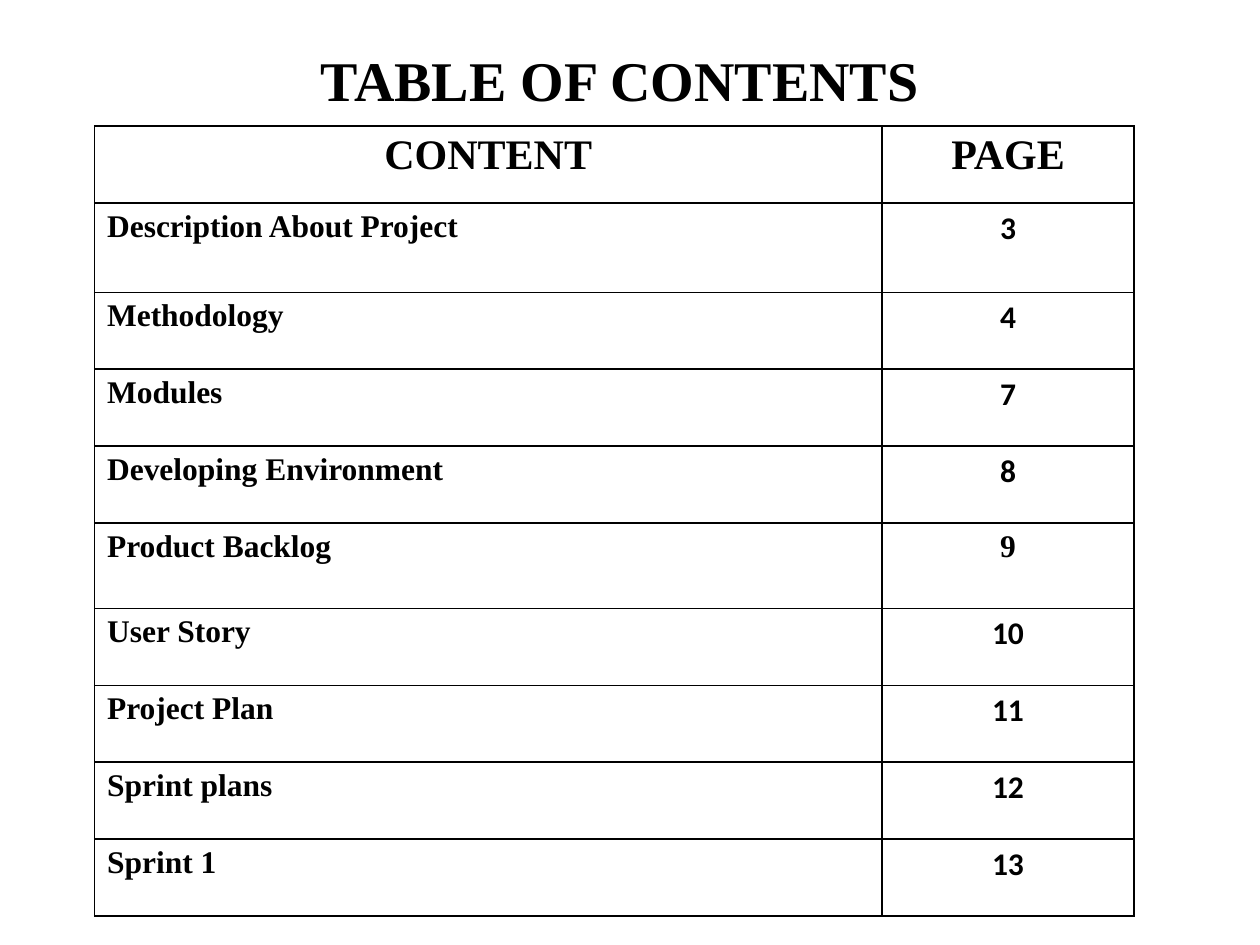
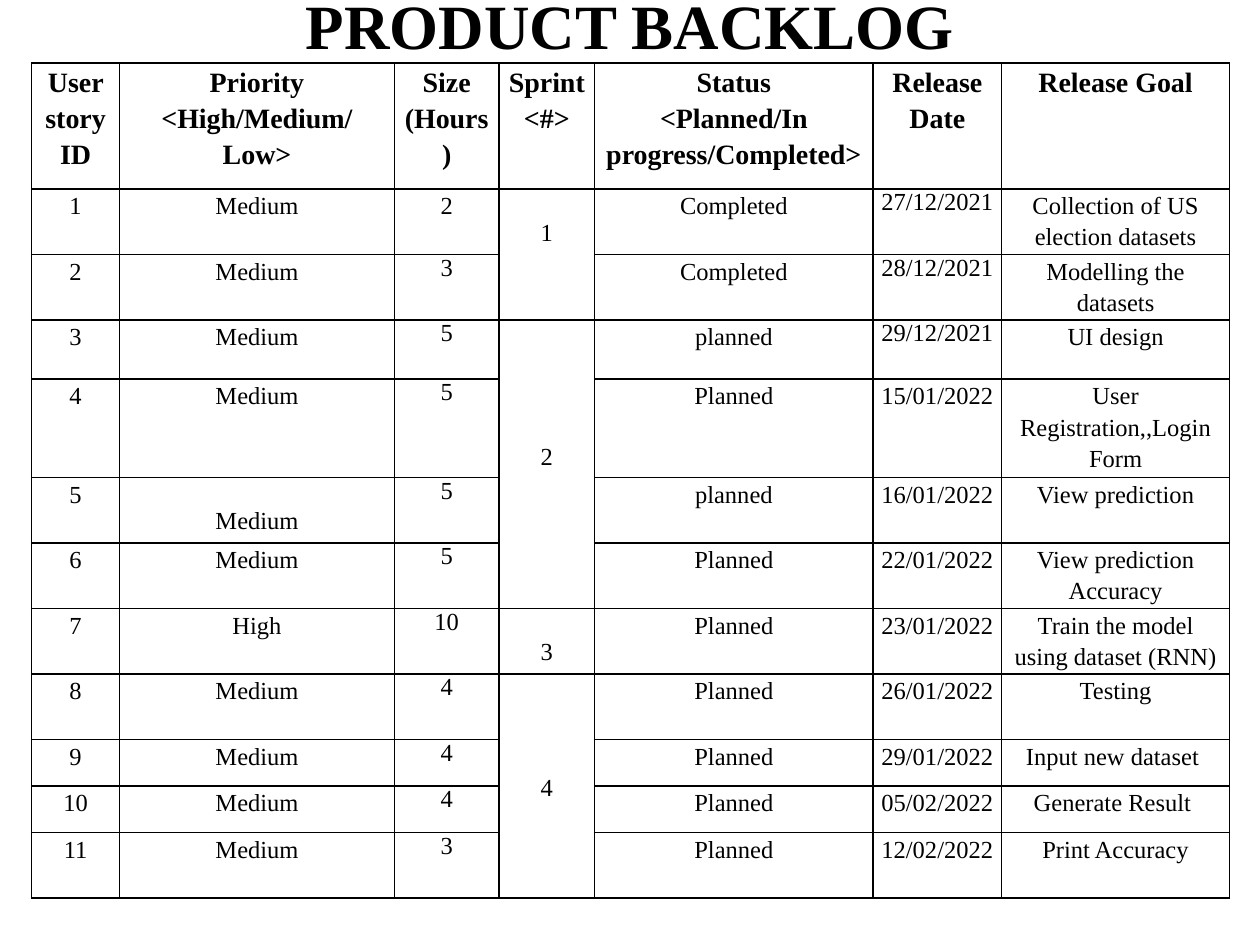
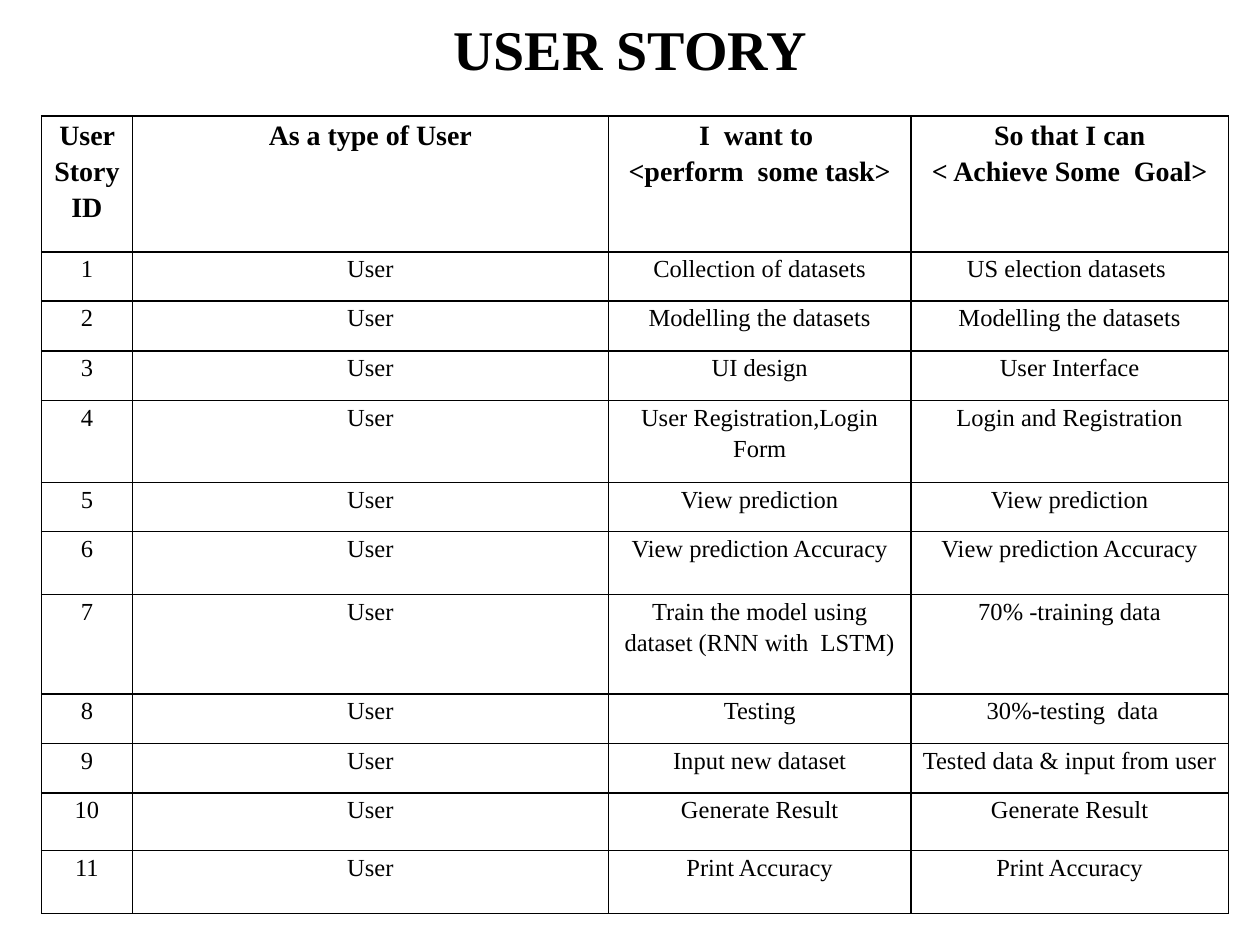
from lxml import etree
from pptx import Presentation
from pptx.dml.color import RGBColor
from pptx.enum.text import MSO_ANCHOR, PP_ALIGN
from pptx.oxml.ns import qn
from pptx.util import Inches, Pt

WIDE, HIGH = Inches(10), Inches(7.5)
BLACK = RGBColor(0, 0, 0)
WHITE = RGBColor(255, 255, 255)
SERIF, SANS = "Times New Roman", "Calibri"
LEFT, CENTER = PP_ALIGN.LEFT, PP_ALIGN.CENTER
TOP, MIDDLE = MSO_ANCHOR.TOP, MSO_ANCHOR.MIDDLE
LAYOUT = 5
LINE = 1
LOOSE = 1.15
DROP = 2.1

TOPICS = [
    ("CONTENT", "PAGE"),
    ("Description About Project", "3"),
    ("Methodology", "4"),
    ("Modules", "7"),
    ("Developing Environment", "8"),
    ("Product Backlog", "9"),
    ("User Story", "10"),
    ("Project Plan", "11"),
    ("Sprint plans", "12"),
    ("Sprint 1", "13"),
]
BACKLOG = [
    ("User story ID", "Priority\n<High/Medium/Low>", "Size\n(Hours)", "Sprint\n<#>",
     "Status\n<Planned/In progress/Completed>", "Release\nDate", "Release Goal"),
    ("1", "Medium", "2", "1", "Completed", "27/12/2021", "Collection of US election datasets"),
    ("2", "Medium", "3", "", "Completed", "28/12/2021", "Modelling the datasets"),
    ("3", "Medium", "5", "2", "planned", "29/12/2021", "UI design"),
    ("4", "Medium", "5", "", "Planned", "15/01/2022", "User Registration,,Login Form"),
    ("5", "Medium", "5", "", "planned", "16/01/2022", "View prediction"),
    ("6", "Medium", "5", "", "Planned", "22/01/2022", "View prediction Accuracy"),
    ("7", "High", "10", "3", "Planned", "23/01/2022", "Train the model using dataset (RNN)"),
    ("8", "Medium", "4", "4", "Planned", "26/01/2022 ", "Testing"),
    ("9", "Medium", "4", "", "Planned", "29/01/2022", "Input new dataset "),
    ("10", "Medium", "4", "", "Planned", "05/02/2022", "Generate Result "),
    ("11", "Medium", "3", "", "Planned", "12/02/2022", "Print Accuracy"),
]
GOALS = [
    ("Collection of datasets", "US election datasets "),
    ("Modelling the datasets", "Modelling the datasets"),
    ("UI design", "User Interface"),
    ("User Registration,Login Form", "Login and Registration"),
    ("View prediction", "View prediction"),
    ("View prediction Accuracy", "View prediction Accuracy"),
    ("Train the model using dataset (RNN with  LSTM)", "70% -training data"),
    ("Testing", " 30%-testing  data"),
    ("Input new dataset", "Tested data & input from user"),
    ("Generate Result", "Generate Result"),
    ("Print Accuracy", "Print Accuracy"),
]
STORIES = [("User Story ID", "As a type of User", "I  want to \n<perform  some task>",
            "So that I can\n< Achieve Some  Goal>")]
STORIES += [(str(num), "User", *goal) for num, goal in enumerate(GOALS, 1)]


def part(share):
    """Turn a percentage of the slide's width into a length."""
    return round(WIDE * share / 100)


def style(frame, size, bold=True, font=SERIF, align=CENTER, gap=None):
    """Format every paragraph and run of a text frame."""
    for para in frame.paragraphs:
        para.alignment = align
        para.line_spacing = gap
        for run in para.runs:
            run.font.name = font
            run.font.size = Pt(size)
            run.font.bold = bold
            run.font.color.rgb = BLACK


def add_page(deck, title, box, size):
    """Add a white slide with its title placed and styled."""
    page = deck.slides.add_slide(deck.slide_layouts[LAYOUT])
    page.background.fill.solid()
    page.background.fill.fore_color.rgb = WHITE
    head = page.shapes.title
    head.left, head.top, head.width, head.height = map(part, box)
    head.text_frame.text = title
    head.text_frame.vertical_anchor = MIDDLE
    style(head.text_frame, size)
    return page


def edge(cell):
    """Draw a black line on all four sides of a cell."""
    props = cell._tc.get_or_add_tcPr()
    for spot, side in enumerate(("lnL", "lnR", "lnT", "lnB")):
        line = etree.Element(qn("a:" + side), w=str(Pt(LINE)))
        fill = etree.SubElement(line, qn("a:solidFill"))
        etree.SubElement(fill, qn("a:srgbClr"), val=str(BLACK))
        props.insert(spot, line)


def add_grid(page, spot, cols, rows, data, inset=None):
    """Add a plain ruled table filled with the given texts."""
    left, top = map(part, spot)
    frame = page.shapes.add_table(len(rows), len(cols), left, top,
                                  part(sum(cols)), part(sum(rows)))
    grid = frame.table
    grid.first_row = grid.horz_banding = False
    for col, share in zip(grid.columns, cols):
        col.width = part(share)
    for row, share, texts in zip(grid.rows, rows, data):
        row.height = part(share)
        for cell, text in zip(row.cells, texts):
            cell.text_frame.text = text
            cell.vertical_anchor = TOP
            cell.fill.background()
            edge(cell)
            if inset is not None:
                cell.margin_left = cell.margin_right = part(inset)
                cell.margin_top = cell.margin_bottom = 0
    return grid


def style_rows(grid):
    """Give a table a bold head row and a regular body."""
    for num, row in enumerate(grid.rows):
        for cell in row.cells:
            style(cell.text_frame, 14 if num else 16, not num, gap=LOOSE)


def add_topics(deck):
    """Build the table of contents."""
    page = add_page(deck, "TABLE OF CONTENTS", (4.2, 0, 90, 12.5), 32)
    rows = [6.1, 7.1, 6.1, 6.1, 6.1, 6.8] + [6.1] * 4
    grid = add_grid(page, (7.5, 10), (62.5, 20), rows, TOPICS)
    for num, row in enumerate(grid.rows):
        name, leaf = row.cells
        size = 18 if num else 24
        style(name.text_frame, size, align=LEFT if num else CENTER)
        style(leaf.text_frame, size, font=SERIF if num in (0, 5) else SANS)


def add_backlog(deck):
    """Build the product backlog with its merged sprints."""
    page = add_page(deck, "PRODUCT BACKLOG", (5, -2.8, 90, 9.5), 36)
    cols = (7, 21.8, 8.3, 7.6, 22.1, 10.2, 18.1)
    rows = [10, 5.2, 5.2, 4.7, 7.8] + [5.2] * 4 + [3.7, 3.7, 5.2]
    grid = add_grid(page, (2.5, 5), cols, rows, BACKLOG, 0.6)
    style_rows(grid)
    tight = [(row, 2) for row in range(2, 12)] + [(row, 5) for row in (1, 2, 3)]
    for row, col in tight:
        grid.cell(row, col).text_frame.paragraphs[0].line_spacing = 1.0
    for first, last in ((1, 2), (3, 6), (8, 11)):
        grid.cell(first, 3).merge(grid.cell(last, 3))
    for row, col, drop in ((1, 3, DROP), (3, 3, 9.5), (5, 1, DROP), (7, 3, DROP)):
        grid.cell(row, col).margin_top = part(drop)
    grid.cell(8, 3).vertical_anchor = MIDDLE


def add_stories(deck):
    """Build the user story table."""
    page = add_page(deck, "USER STORY", (5, -0.8, 90, 9.2), 32)
    rows = [10.8, 3.9, 3.95, 3.95, 6.5, 3.9, 5, 7.9, 3.9, 3.95, 4.55, 5]
    grid = add_grid(page, (3.3, 9.2), (7.2, 37.8, 24, 25.2), rows, STORIES, 0.7)
    style_rows(grid)


def main():
    """Build and save the deck."""
    deck = Presentation()
    deck.slide_width, deck.slide_height = WIDE, HIGH
    add_topics(deck)
    add_backlog(deck)
    add_stories(deck)
    deck.save("out.pptx")


if __name__ == "__main__":
    main()
